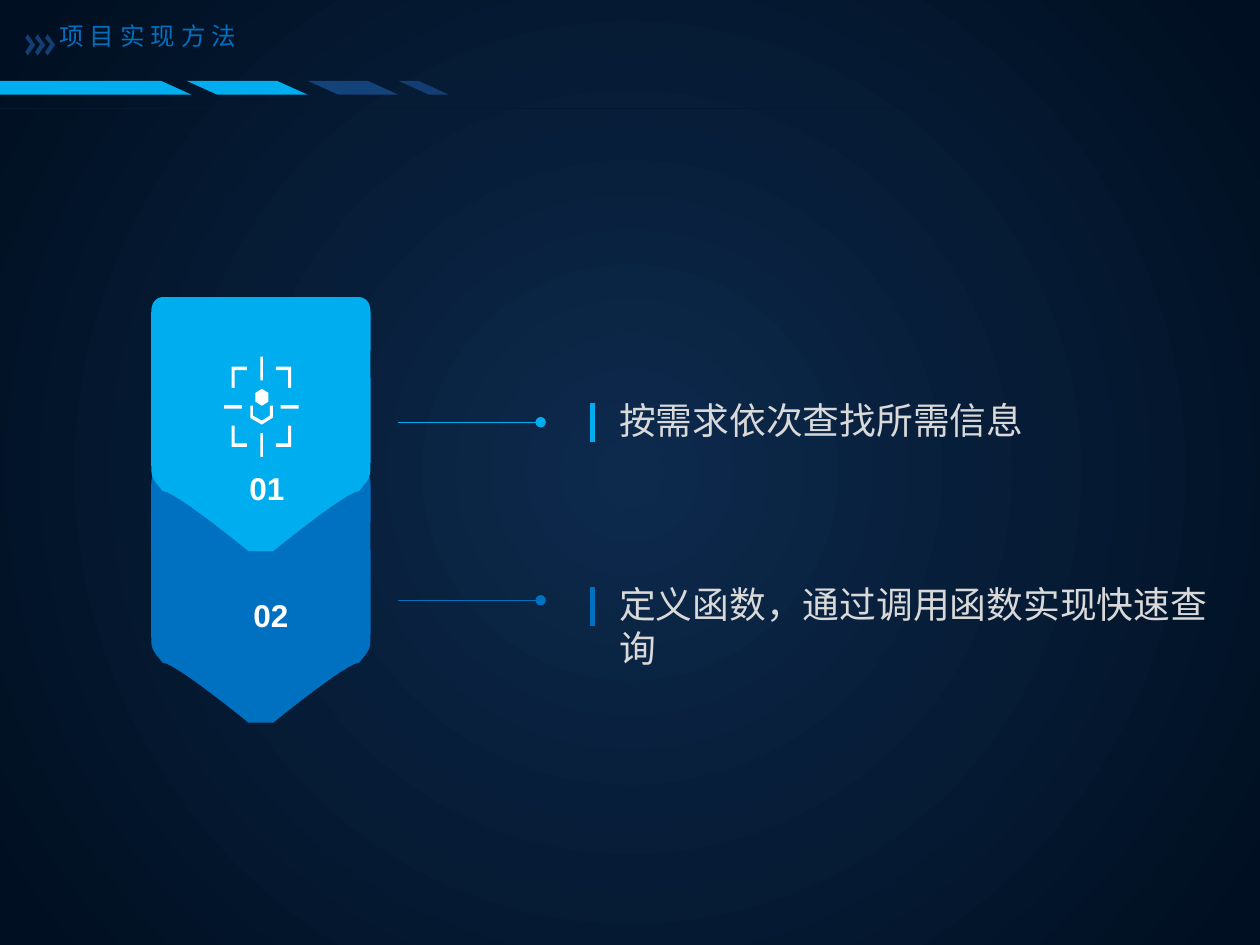
from lxml.etree import SubElement
from pptx import Presentation
from pptx.dml.color import RGBColor
from pptx.enum.shapes import MSO_CONNECTOR, MSO_SHAPE
from pptx.enum.text import MSO_ANCHOR, MSO_AUTO_SIZE, PP_ALIGN
from pptx.oxml.ns import qn
from pptx.util import Cm, Pt

SKY = RGBColor(0x00, 0xAE, 0xEF)
BLUE = RGBColor(0x00, 0x70, 0xC0)
STEEL = RGBColor(0x14, 0x42, 0x7A)
NAVY = RGBColor(0x13, 0x3E, 0x73)
RULE = RGBColor(0x04, 0x18, 0x30)
CORE = RGBColor(0x0D, 0x2A, 0x4D)
EDGE = RGBColor(0x00, 0x0F, 0x21)
GREY = RGBColor(0xD9, 0xD9, 0xD9)
WHITE = RGBColor(0xFF, 0xFF, 0xFF)
HAN = "Noto Sans CJK SC"


def paint(shape, color):
    shape.shadow.inherit = False
    shape.fill.solid()
    shape.fill.fore_color.rgb = color
    shape.line.fill.background()
    return shape


def outline(shapes, x, y, points, color):
    spots = [(Cm(x + dx), Cm(y + dy)) for dx, dy in points]
    form = shapes.build_freeform(*spots[0])
    form.add_line_segments(spots[1:], close=True)
    return paint(form.convert_to_shape(), color)


def block(shapes, kind, x, y, w, h, color):
    return paint(shapes.add_shape(kind, Cm(x), Cm(y), Cm(w), Cm(h)), color)


def line(slide, x1, y1, x2, y2, color, width, dot=False):
    link = slide.shapes.add_connector(
        MSO_CONNECTOR.STRAIGHT, Cm(x1), Cm(y1), Cm(x2), Cm(y2))
    link.line.color.rgb = color
    link.line.width = Pt(width)
    props = link._element.spPr
    if dot:
        SubElement(props.find(qn("a:ln")), qn("a:headEnd"), type="oval")
    SubElement(props, qn("a:effectLst"))


def write(box, text, size, color, font, pad=(0.2, 0.1), wrap=True):
    frame = box.text_frame
    frame.text = text
    frame.word_wrap = wrap
    frame.auto_size = MSO_AUTO_SIZE.SHAPE_TO_FIT_TEXT
    frame.vertical_anchor = MSO_ANCHOR.TOP
    frame.margin_left = frame.margin_right = Cm(pad[0])
    frame.margin_top = frame.margin_bottom = Cm(pad[1])
    para = frame.paragraphs[0]
    para.alignment = PP_ALIGN.LEFT
    run = para.runs[0]
    run.font.size = Pt(size)
    run.font.color.rgb = color
    run.font.name = font
    SubElement(run.font._element, qn("a:ea"), typeface=HAN)
    return para


def curve(a, b, c, d, steps=12):
    for i in range(1, steps + 1):
        t = i / steps
        s = 1 - t
        yield tuple(s**3 * p + 3 * s * s * t * q + 3 * s * t * t * r + t**3 * e
                    for p, q, r, e in zip(a, b, c, d))


def backdrop(slide):
    fill = slide.background.fill
    fill.gradient()
    for stop, color, place in zip(fill.gradient_stops, (CORE, EDGE), (0, 0.97)):
        stop.color.rgb = color
        stop.position = place
    grad = slide.element.find(".//" + qn("a:gradFill"))
    grad.remove(grad.find(qn("a:lin")))
    way = SubElement(grad, qn("a:path"), {"path": "circle"})
    SubElement(way, qn("a:fillToRect"), l="50000", t="50000", r="50000", b="50000")


def header(slide, x, y, text):
    left = x - 4.17
    for width, color in ((8.03, SKY), (2.44, SKY), (1.83, STEEL), (1.02, NAVY)):
        bar = block(slide.shapes, MSO_SHAPE.PARALLELOGRAM,
                    left, y + 1.63, width, 0.28, color)
        bar.adjustments[0] = 2.208
        bar._element.spPr.xfrm.set("flipV", "1")
        left += width - (0.1 if width > 8 else 0)
    line(slide, x - 1.12, y + 2.18, x + 20.83, y + 2.18, RULE, 0.5)

    title = slide.shapes.title
    title.left, title.top = Cm(x + 0.91), Cm(y + 0.28)
    title.width, title.height = Cm(4.29), Cm(0.89)
    para = write(title, text, 14, BLUE, HAN, (0.28, 0.15), False)
    para.runs[0].font._element.set("spc", "340")

    group = slide.shapes.add_group_shape()
    arrow = [(0, 0.08), (0.05, 0), (0.2, 0.22), (0.05, 0.43), (0, 0.36), (0.1, 0.2)]
    for i in range(3):
        outline(group.shapes, x + 0.51 + 0.2 * i, y + 0.69, arrow, NAVY)


def banner(slide, x, y, color):
    wide = 4.42
    knots = [(4.19, 0), (4.19, 0), (4.42, 0), (4.42, 0.3),
             (4.42, 0.3), (4.42, 3.02), (4.42, 3.33),
             (4.42, 3.63), (4.42, 3.63), (4.19, 3.91),
             (3.94, 3.91), (2.46, 5.12), (2.46, 5.12)]
    right = [knots[0]]
    for i in range(0, 12, 3):
        right += curve(*knots[i:i + 4])
    left = [(wide - px, py) for px, py in reversed(right)]
    outline(slide.shapes, x, y, right + left, color)


def label(slide, x, y, text):
    box = slide.shapes.add_textbox(Cm(x), Cm(y), Cm(2.79), Cm(1.19))
    para = write(box, text, 18, WHITE, "Arial")
    box.text_frame.margin_left = Cm(0.55)
    para.alignment = PP_ALIGN.CENTER
    para.line_spacing = 1.3
    para.runs[0].font.bold = True


def icon(slide, x, y):
    wide, high = 1.5, 2.02
    parts = slide.shapes.add_group_shape().shapes
    corner = [(0.15, 0.2), (0.46, 0.2), (0.46, 0.27),
              (0.21, 0.27), (0.21, 0.63), (0.15, 0.63)]
    for flip in (False, True):
        for turn in (False, True):
            points = [(wide - px if flip else px, high - py if turn else py)
                      for px, py in corner]
            outline(parts, x, y, points, WHITE)
    for dx, dy, w, h in ((0, 0.98, 0.36, 0.07), (1.14, 0.98, 0.36, 0.07),
                         (0.73, 0, 0.05, 0.48), (0.73, 1.54, 0.05, 0.48)):
        block(parts, MSO_SHAPE.RECTANGLE, x + dx, y + dy, w, h, WHITE)
    gem = [(0.76, 0.65), (0.63, 0.73), (0.63, 0.91),
           (0.76, 0.99), (0.89, 0.91), (0.89, 0.73)]
    cup = [(0.53, 0.99), (0.53, 1.24), (0.76, 1.37), (0.98, 1.23), (0.98, 0.99),
           (0.92, 0.99), (0.92, 1.19), (0.76, 1.29), (0.58, 1.19), (0.58, 0.99)]
    for points in (gem, cup):
        outline(parts, x, y, points, WHITE)


def item(slide, x, y, link, width, height, text, color):
    line(slide, x + 2.87, y + link, x, y + link, color, 0.5, True)
    line(slide, x + 3.91, y + 0.2, x + 3.91, y + 0.99, color, 3)
    box = slide.shapes.add_textbox(Cm(x + 4.25), Cm(y), Cm(width), Cm(height))
    write(box, text, 21, GREY, "Calibri")


def build():
    deck = Presentation()
    deck.slide_width, deck.slide_height = Cm(25.4), Cm(19.05)
    slide = deck.slides.add_slide(deck.slide_layouts[5])
    backdrop(slide)
    banner(slide, 3.05, 9.45, BLUE)
    banner(slide, 3.05, 5.99, SKY)
    label(slide, 3.81, 9.12, "01")
    label(slide, 3.89, 11.68, "02")
    icon(slide, 4.52, 7.19)
    item(slide, 8.03, 7.92, 0.59, 10.8, 1.09, "按需求依次查找所需信息", SKY)
    item(slide, 8.03, 11.63, 0.47, 12.6, 2.01,
         "定义函数，通过调用函数实现快速查询", BLUE)
    header(slide, 0, 0, "项目实现方法")
    deck.save("out.pptx")


build()
